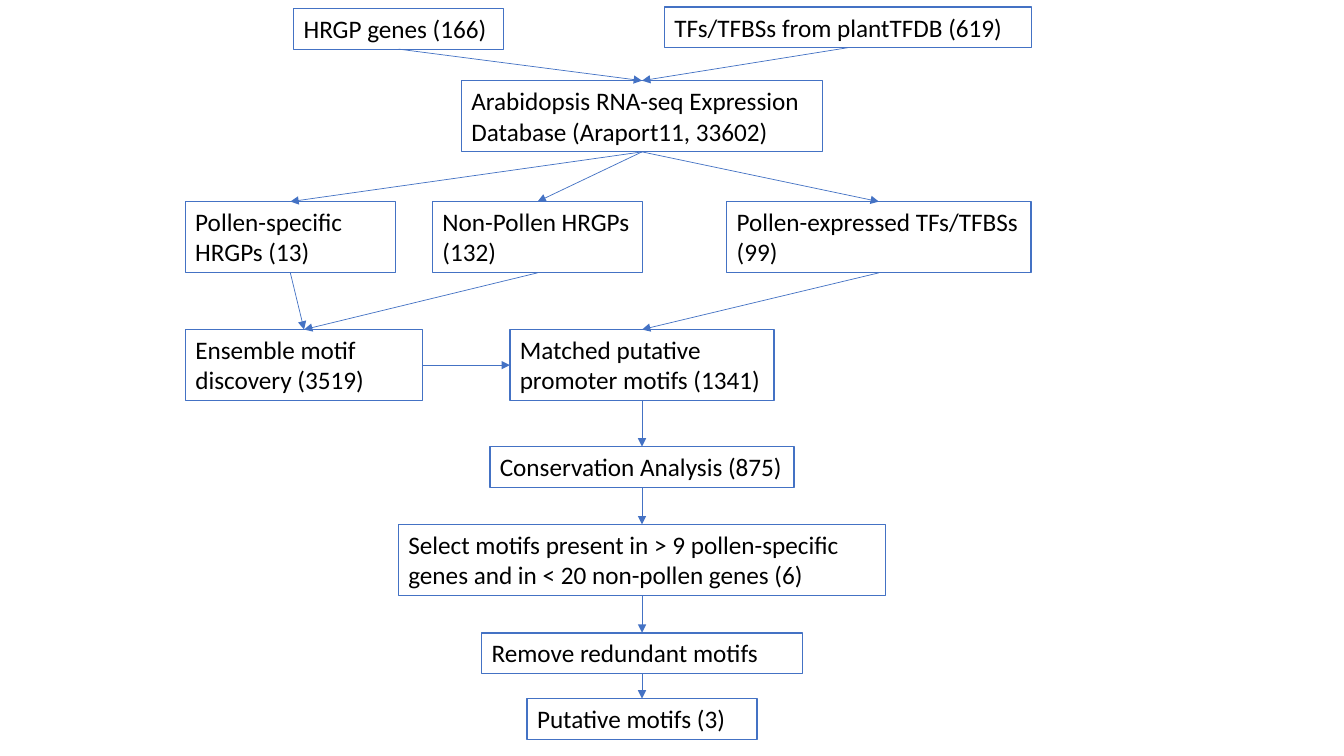
"""Build the motif discovery flowchart slide."""
from dataclasses import dataclass

import pptx
import pptx.dml.color
import pptx.enum.shapes
import pptx.enum.text
import pptx.oxml
import pptx.oxml.ns
import pptx.util

Pt = pptx.util.Pt
TOP, LEFT, BOTTOM, RIGHT = range(4)  # connection sites of a rectangle


@dataclass(frozen=True)
class Theme:
    """Colours, type and line widths of the slide."""
    outline = pptx.dml.color.RGBColor(0x44, 0x72, 0xC4)
    paper = pptx.dml.color.RGBColor(0xFF, 0xFF, 0xFF)
    ink = pptx.dml.color.RGBColor(0, 0, 0)
    font = "Calibri"
    text_size = Pt(18)
    plain_line = Pt(0.75)
    filled_line = Pt(1)
    arrow_line = Pt(0.5)


THEME = Theme()
AXIS = 458.6  # centre line of the main flow
ONE_LINE, TWO_LINES = 29.1, 50.9  # box heights

# name: (centre, top, width, height, filled, text)
BOXES = {
    "database": (AXIS, 57.6, 258, TWO_LINES, False,
                 "Arabidopsis RNA-seq Expression \nDatabase (Araport11, 33602)"),
    "genes": (284.8, 6, 150, ONE_LINE, False, "HRGP genes (166)"),
    "factors": (605.6, 5, 262, ONE_LINE, True, "TFs/TFBSs from plantTFDB (619)"),
    "pollen": (207.4, 144, 150, TWO_LINES, False, "Pollen-specific HRGPs (13)"),
    "non_pollen": (384, 144, 150, TWO_LINES, False, "Non-Pollen HRGPs (132)"),
    "expressed": (627.8, 144, 217.4, TWO_LINES, True,
                  "Pollen-expressed TFs/TFBSs (99)"),
    "ensemble": (217.2, 235.4, 169.4, TWO_LINES, False,
                 "Ensemble motif discovery (3519)"),
    "matched": (AXIS, 235.4, 188.8, TWO_LINES, True,
                "Matched putative promoter motifs (1341)"),
    "conservation": (AXIS, 319, 217.4, ONE_LINE, True, "Conservation Analysis (875)"),
    "selection": (AXIS, 374.6, 348, TWO_LINES, True,
                  "Select motifs present in > 9 pollen-specific genes "
                  "and in < 20 non-pollen genes (6)"),
    "redundant": (AXIS, 452, 229, ONE_LINE, True, "Remove redundant motifs"),
    "putative": (AXIS, 499, 164.2, ONE_LINE, True, "Putative motifs (3)"),
}

DOWNWARD = [
    ("genes", "database"), ("factors", "database"),
    ("database", "pollen"), ("database", "non_pollen"), ("database", "expressed"),
    ("pollen", "ensemble"), ("non_pollen", "ensemble"), ("expressed", "matched"),
    ("matched", "conservation"), ("conservation", "selection"),
    ("selection", "redundant"), ("redundant", "putative"),
]


def add_box(slide, centre, top, width, height, filled, text):
    """Add an outlined box with left-aligned text, centred on a given x."""
    shape = slide.shapes.add_shape(
        pptx.enum.shapes.MSO_SHAPE.RECTANGLE,
        Pt(centre - width / 2), Pt(top), Pt(width), Pt(height))
    shape.shadow.inherit = False
    shape.line.color.rgb = THEME.outline
    if filled:
        shape.fill.solid()
        shape.fill.fore_color.rgb = THEME.paper
        shape.line.width = THEME.filled_line
    else:
        shape.fill.background()
        shape.line.width = THEME.plain_line
    frame = shape.text_frame
    frame.word_wrap = True
    frame.auto_size = pptx.enum.text.MSO_AUTO_SIZE.SHAPE_TO_FIT_TEXT
    frame.vertical_anchor = pptx.enum.text.MSO_ANCHOR.TOP
    frame.text = text
    for paragraph in frame.paragraphs:
        paragraph.alignment = pptx.enum.text.PP_ALIGN.LEFT
        paragraph.font.name = THEME.font
        paragraph.font.size = THEME.text_size
        paragraph.font.color.rgb = THEME.ink
    return shape


def add_arrow(slide, source, target, source_site=BOTTOM, target_site=TOP):
    """Join two boxes with an arrow that points at the target."""
    connector = slide.shapes.add_connector(
        pptx.enum.shapes.MSO_CONNECTOR.STRAIGHT, 0, 0, 0, 0)
    connector.begin_connect(source, source_site)
    connector.end_connect(target, target_site)
    connector.line.color.rgb = THEME.outline
    connector.line.width = THEME.arrow_line
    properties = connector.element.spPr
    line = properties.find(pptx.oxml.ns.qn("a:ln"))
    head = pptx.oxml.parse_xml(
        f'<a:tailEnd {pptx.oxml.ns.nsdecls("a")} type="triangle"/>')
    line.append(head)
    properties.append(
        pptx.oxml.parse_xml(f'<a:effectLst {pptx.oxml.ns.nsdecls("a")}/>'))


def main():
    """Build and save the slide."""
    presentation = pptx.Presentation()
    presentation.slide_width, presentation.slide_height = Pt(960), Pt(540)
    blank_layout = presentation.slide_layouts.get_by_name("Blank")
    slide = presentation.slides.add_slide(blank_layout)
    boxes = {name: add_box(slide, *box) for name, box in BOXES.items()}
    for source, target in DOWNWARD:
        add_arrow(slide, boxes[source], boxes[target])
    add_arrow(slide, boxes["ensemble"], boxes["matched"], RIGHT, LEFT)
    presentation.save("out.pptx")


main()
